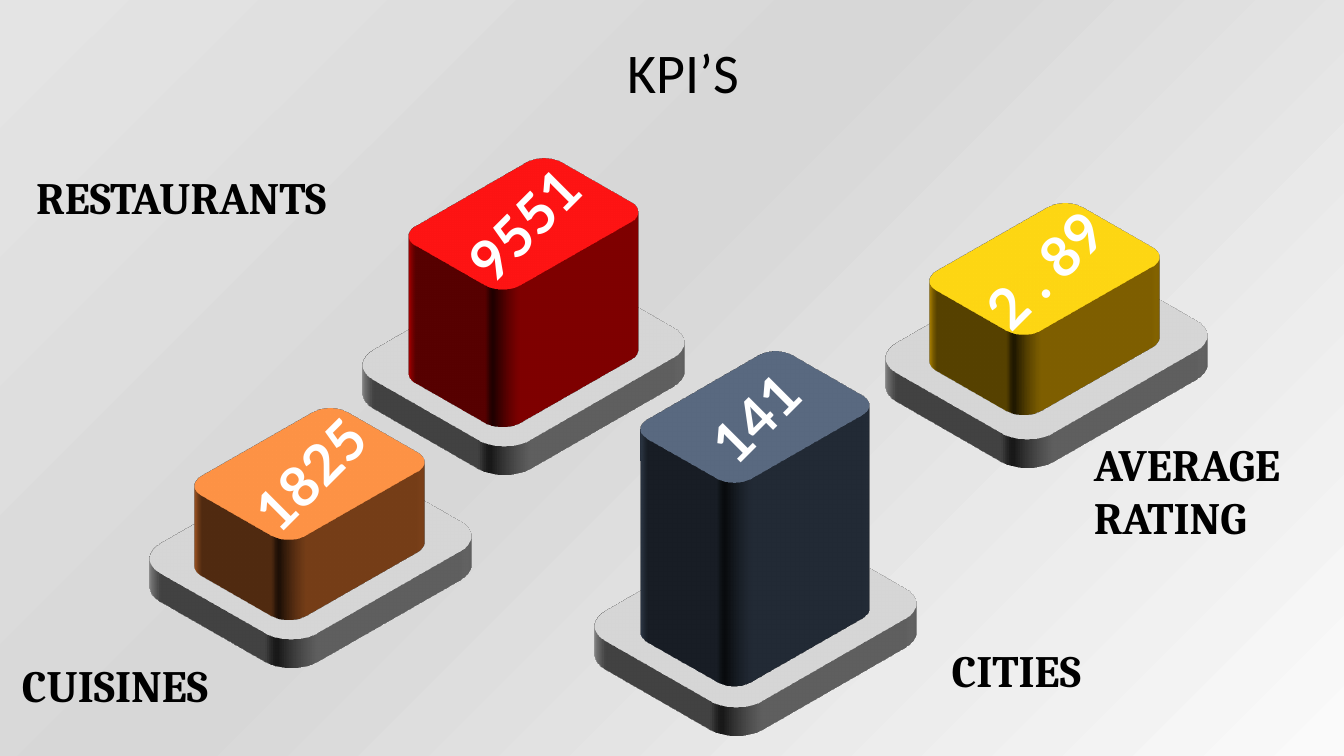
from lxml import etree
from pptx import Presentation
from pptx.dml.color import RGBColor
from pptx.enum.shapes import MSO_SHAPE
from pptx.enum.text import MSO_ANCHOR, PP_ALIGN
from pptx.oxml import parse_xml
from pptx.oxml.ns import nsdecls, qn
from pptx.util import Inches, Pt

ROUNDED = MSO_SHAPE.ROUNDED_RECTANGLE
MIDDLE, TOP = MSO_ANCHOR.MIDDLE, MSO_ANCHOR.TOP
CENTER, LEFT = PP_ALIGN.CENTER, PP_ALIGN.LEFT
COLORS = {
    "base": "BFBFBF", "orange": "ED7D31", "slate": "44546A",
    "red": "FF0000", "yellow": "FFC000", "white": "FFFFFF", "black": "000000",
}
BACKGROUND_STOPS = [(0, "FAFAFA"), (57, "D7D7D7"), (100, "E4E4E4")]
BASE_SIZE, BASE_DEPTH = (2.74, 2.2), 25
BLOCK_SIZE = (2.04, 1.46)


def write_text(shape, text, font_name, size, color, bold, alignment, anchor):
    frame = shape.text_frame
    frame.word_wrap = True
    frame.vertical_anchor = anchor
    frame.text = text
    paragraph = frame.paragraphs[0]
    paragraph.alignment = alignment
    font = paragraph.font
    font.name, font.size, font.bold = font_name, Pt(size), bold
    font.color.rgb = RGBColor.from_string(COLORS[color])


def add_isometric_block(position, size, color, depth):
    """Add a rounded rectangle seen from above and extruded by depth points."""
    block = slide.shapes.add_shape(ROUNDED, *map(Inches, position + size))
    block.fill.solid()
    block.fill.fore_color.rgb = RGBColor.from_string(COLORS[color])
    block.line.fill.background()
    block.shadow.inherit = False
    properties = block.element.spPr
    properties.append(parse_xml(
        f'<a:scene3d {nsdecls("a")}><a:camera prst="isometricTopUp"/>'
        '<a:lightRig rig="threePt" dir="t"/></a:scene3d>'))
    properties.append(parse_xml(
        f'<a:sp3d {nsdecls("a")} extrusionH="{Pt(depth)}"/>'))
    return block


presentation = Presentation()
presentation.slide_width = Inches(13.33)
presentation.slide_height = Inches(7.5)
slide = presentation.slides.add_slide(presentation.slide_layouts[5])

# Background: a radial gradient growing from the bottom right corner
slide.background.fill.gradient()
gradient = slide.element.find(".//" + qn("a:gradFill"))
for child in list(gradient):
    gradient.remove(child)
stops = etree.SubElement(gradient, qn("a:gsLst"))
for percent, color in BACKGROUND_STOPS:
    stop = etree.SubElement(stops, qn("a:gs"), pos=str(percent * 1000))
    etree.SubElement(stop, qn("a:srgbClr"), val=color)
radial = etree.SubElement(gradient, qn("a:path"), path="circle")
etree.SubElement(radial, qn("a:fillToRect"), l="100000", t="100000")
etree.SubElement(gradient, qn("a:tileRect"), r="-100000", b="-100000")

# Each indicator: value, colour, base position, block position, block depth
indicators = [
    ("1825", "orange", (1.71, 4.33), (2.05, 3.97), 70),
    ("141", "slate", (6.12, 5), (6.47, 3.41), 177),
    ("9551", "red", (3.82, 2.41), (4.17, 1.49), 120),
    ("2 . 89", "yellow", (9.01, 2.34), (9.34, 1.94), 70),
]
for value, color, base_position, block_position, depth in indicators:
    add_isometric_block(base_position, BASE_SIZE, "base", BASE_DEPTH)
    block = add_isometric_block(block_position, BLOCK_SIZE, color, depth)
    write_text(block, value, "Lato", 40, "white", True, CENTER, MIDDLE)

title = slide.shapes.title
title.left, title.top, title.width, title.height = map(
    Inches, (6.12, 0.32, 1.56, 0.77))
write_text(title, "KPI’S", "Calibri", 40, "black", False, LEFT, TOP)

labels = [
    ("CUISINES", (0.12, 6.48, 2.44, 0.64)),
    ("RESTAURANTS", (0.26, 1.63, 3.54, 0.64)),
    ("CITIES", (9.34, 6.33, 1.96, 0.64)),
    ("AVERAGE RATING", (10.75, 4.28, 2.74, 1.18)),
]
for text, box in labels:
    label = slide.shapes.add_textbox(*map(Inches, box))
    write_text(label, text, "Cambria", 32, "black", True, LEFT, TOP)

presentation.save("out.pptx")
